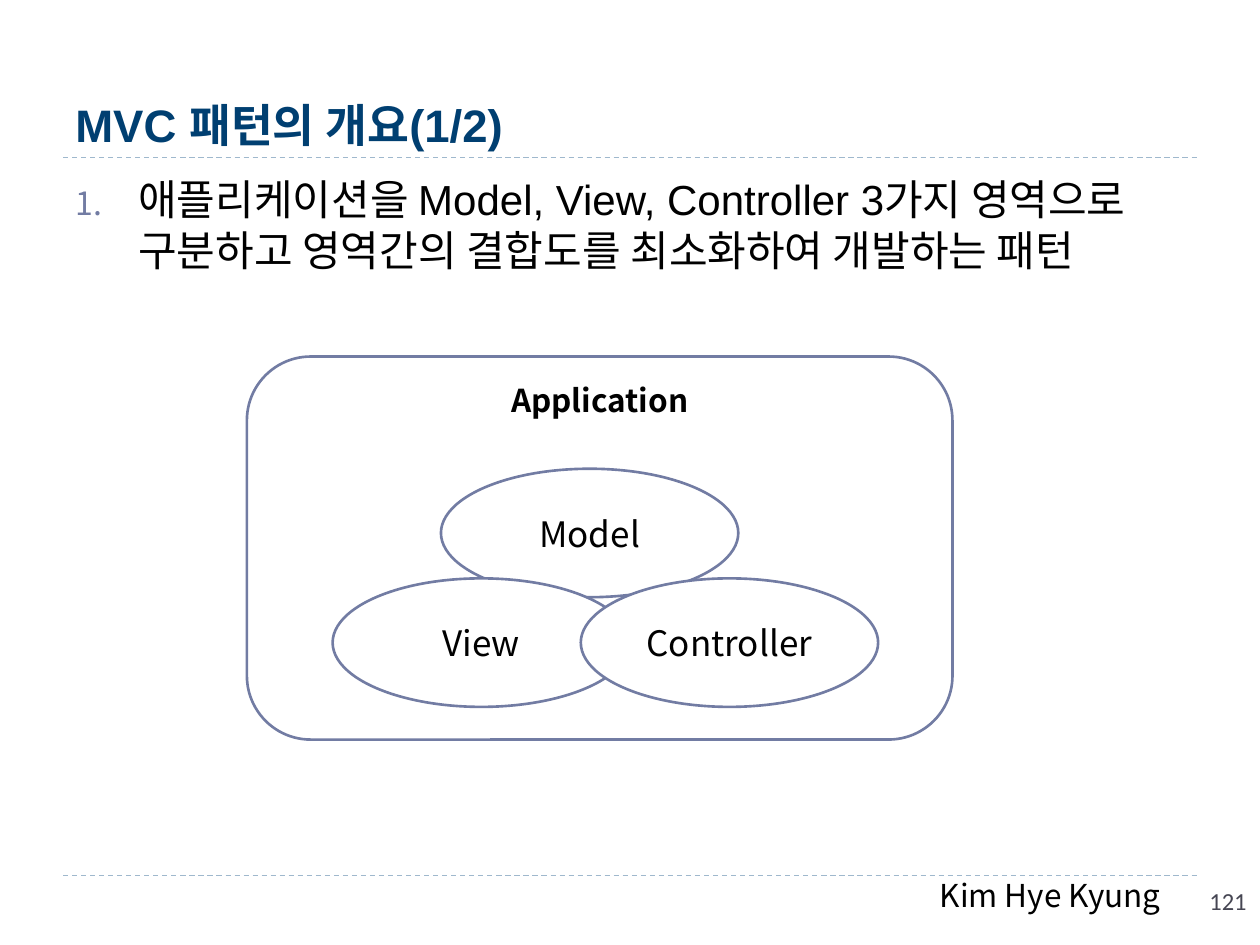
from lxml import etree
from pptx import Presentation
from pptx.dml.color import RGBColor
from pptx.enum.dml import MSO_LINE
from pptx.enum.shapes import MSO_CONNECTOR, MSO_SHAPE
from pptx.enum.text import MSO_ANCHOR, PP_ALIGN
from pptx.oxml.ns import qn
from pptx.util import Pt

PX = 9144
WHITE = RGBColor(0xFF, 0xFF, 0xFF)
BLACK = RGBColor(0x00, 0x00, 0x00)
NAVY = RGBColor(0x00, 0x3F, 0x71)
SLATE = RGBColor(0x72, 0x7C, 0xA3)
PALE_BLUE = RGBColor(0x9F, 0xB8, 0xCD)
GREY = RGBColor(0x46, 0x46, 0x53)
KOREAN, LATIN, NUMERAL = "Noto Sans CJK KR", "Arial", "Calibri"
ROUNDED, ELLIPSE = MSO_SHAPE.ROUNDED_RECTANGLE, MSO_SHAPE.OVAL
STRAIGHT, DASH = MSO_CONNECTOR.STRAIGHT, MSO_LINE.DASH
TOP, MIDDLE, BOTTOM = MSO_ANCHOR.TOP, MSO_ANCHOR.MIDDLE, MSO_ANCHOR.BOTTOM
LEFT, CENTER = PP_ALIGN.LEFT, PP_ALIGN.CENTER


class Page:
    """Draws styled elements on one slide, with lengths in px."""

    def __init__(self, slide):
        self.shapes = slide.shapes

    def label(self, shape, text, size, font, color, bold, align, anchor, wrap):
        frame = shape.text_frame
        frame.word_wrap = wrap
        frame.vertical_anchor = anchor
        para = frame.paragraphs[0]
        para.alignment = align
        span = para.add_run()
        span.text = text
        span.font.size = Pt(size)
        span.font.name = font
        span.font.bold = bold
        span.font.color.rgb = color
        return para

    def text(self, area, text, size, font, color=BLACK, bold=False, anchor=TOP):
        box = self.shapes.add_textbox(*(n * PX for n in area))
        return self.label(box, text, size, font, color, bold, LEFT, anchor, True)

    def numbered(self, area, text, size, font):
        para = self.text(area, text, size, font)
        para.space_before = Pt(6)
        properties = para._p.get_or_add_pPr()
        properties.set("marL", str(50 * PX))
        properties.set("indent", str(-50 * PX))
        color = etree.SubElement(properties, qn("a:buClr"))
        etree.SubElement(color, qn("a:srgbClr"), val=str(SLATE))
        etree.SubElement(properties, qn("a:buSzPct"), val="76000")
        etree.SubElement(properties, qn("a:buFont"), typeface=KOREAN)
        etree.SubElement(properties, qn("a:buAutoNum"), type="arabicPeriod")

    def shape(self, kind, area, text, size, bold=False, anchor=MIDDLE, wrap=False):
        shape = self.shapes.add_shape(kind, *(n * PX for n in area))
        shape.shadow.inherit = False
        shape.fill.solid()
        shape.fill.fore_color.rgb = WHITE
        shape.line.color.rgb = SLATE
        shape.line.width = Pt(1.5)
        self.label(shape, text, size, KOREAN, BLACK, bold, CENTER, anchor, wrap)

    def rule(self, top):
        line = self.shapes.add_connector(STRAIGHT, 50 * PX, top * PX, 950 * PX, top * PX)
        line.line.color.rgb = PALE_BLUE
        line.line.width = Pt(0.75)
        line.line.dash_style = DASH
        etree.SubElement(line._element.spPr, qn("a:effectLst"))


def main():
    deck = Presentation()
    deck.slide_width, deck.slide_height = 1000 * PX, 750 * PX
    page = Page(deck.slides.add_slide(deck.slide_layouts[6]))

    for top in (695, 125):
        page.rule(top)
    page.text((736, 690, 210, 40), "Kim Hye Kyung", 18, KOREAN)
    page.text((50, 17, 900, 108), "MVC 패턴의 개요(1/2)", 26, LATIN, NAVY, True, BOTTOM)
    page.numbered(
        (50, 133, 900, 540),
        "애플리케이션을 Model, View, Controller 3가지 영역으로 "
        "구분하고 영역간의 결합도를 최소화하여 개발하는 패턴",
        24, LATIN)

    page.shape(ROUNDED, (196, 283, 560, 304), "Application", 18, True, TOP, True)
    for name, left, top in (("Model", 350, 372), ("View", 264, 459), ("Controller", 461, 459)):
        page.shape(ELLIPSE, (left, top, 236, 102), name, 20)
    page.text((950, 698, 50, 40), "121", 14, NUMERAL, GREY)

    deck.save("out.pptx")


if __name__ == "__main__":
    main()
